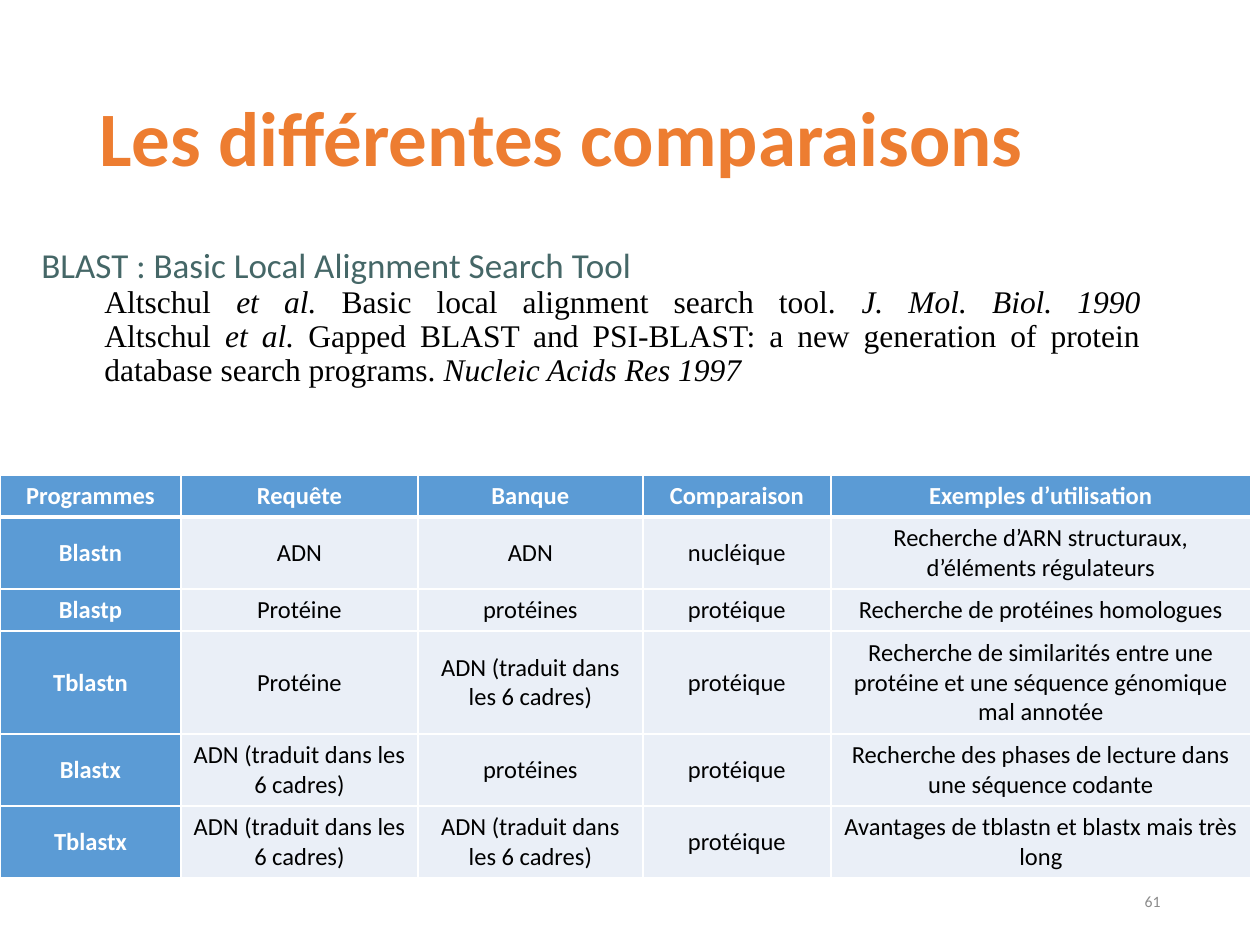
from lxml.etree import SubElement
from pptx import Presentation
from pptx.dml.color import RGBColor
from pptx.enum.text import MSO_ANCHOR, MSO_AUTO_SIZE, PP_ALIGN
from pptx.oxml.ns import qn
from pptx.util import Emu, Pt

EMU_PER_PX = 914400 / 126


def px(length):
    return Emu(round(length * EMU_PER_PX))


def style(font, size, color, name="Calibri", bold=False):
    font.size, font.name, font.bold = Pt(size), name, bold
    font.color.rgb = RGBColor.from_string(color)


deck = Presentation()
deck.slide_width, deck.slide_height = px(1260), px(945)
page = deck.slides.add_slide(deck.slide_layouts[6])

# Title and page number
for text, left, top, width, height, size, color, bold, align, spacing in (
    ("Les différentes comparaisons", 87, 50, 1086, 183, 44, "ED7D31", True, PP_ALIGN.LEFT, 0.9),
    ("61", 890, 876, 283, 50, 9, "8C8C8C", False, PP_ALIGN.RIGHT, 1.0),
):
    box = page.shapes.add_textbox(px(left), px(top), px(width), px(height))
    frame = box.text_frame
    frame.word_wrap = True
    frame.vertical_anchor = MSO_ANCHOR.MIDDLE
    para = frame.paragraphs[0]
    para.text = text
    para.alignment, para.line_spacing = align, spacing
    style(para.font, size, color, bold=bold)

# Comparison table
HEADER_FILL, BODY_FILL = "5B9BD5", "EAEFF7"
column_widths = (181, 237, 225, 188, 420)
row_heights = (42, 72, 42, 103, 72, 72)
TRANSLATED = "ADN (traduit dans les 6 cadres)"
rows = (
    ("Programmes", "Requête", "Banque", "Comparaison", "Exemples d’utilisation"),
    ("Blastn", "ADN", "ADN", "nucléique", "Recherche d’ARN structuraux, d’éléments régulateurs"),
    ("Blastp", "Protéine", "protéines", "protéique", "Recherche de protéines homologues"),
    ("Tblastn", "Protéine", TRANSLATED, "protéique",
     "Recherche de similarités entre une protéine et une séquence génomique mal annotée"),
    ("Blastx", TRANSLATED, "protéines", "protéique",
     "Recherche des phases de lecture dans une séquence codante"),
    ("Tblastx", TRANSLATED, TRANSLATED, "protéique",
     "Avantages de tblastn et blastx mais très long"),
)
table = page.shapes.add_table(
    len(rows), len(column_widths), px(0), px(475), px(sum(column_widths)), px(sum(row_heights))
).table
table.horz_banding = False
for column, width in zip(table.columns, column_widths):
    column.width = px(width)
for row, height in zip(table.rows, row_heights):
    row.height = px(height)

for r, texts in enumerate(rows):
    for c, text in enumerate(texts):
        cell = table.cell(r, c)
        is_header = r == 0 or c == 0
        # White borders, thicker under the header row
        properties = cell._tc.get_or_add_tcPr()
        for side in ("lnL", "lnR", "lnT", "lnB"):
            thick = (r, side) in ((0, "lnB"), (1, "lnT"))
            line = SubElement(properties, qn(f"a:{side}"), w=str(Pt(3 if thick else 1)))
            SubElement(SubElement(line, qn("a:solidFill")), qn("a:srgbClr"), val="FFFFFF")
        cell.fill.solid()
        cell.fill.fore_color.rgb = RGBColor.from_string(HEADER_FILL if is_header else BODY_FILL)
        cell.vertical_anchor = MSO_ANCHOR.MIDDLE
        para = cell.text_frame.paragraphs[0]
        para.text = text
        para.alignment = PP_ALIGN.CENTER
        style(para.font, 14, "FFFFFF" if is_header else "000000", bold=is_header)

# Definition and references
box = page.shapes.add_textbox(px(29), px(242), px(1124), px(154))
frame = box.text_frame
frame.word_wrap = True
frame.auto_size = MSO_AUTO_SIZE.SHAPE_TO_FIT_TEXT
definition, references = frame.paragraphs[0], frame.add_paragraph()
for para in (definition, references):
    para.alignment, para.line_spacing = PP_ALIGN.JUSTIFY, 0.9
definition.text = "BLAST : Basic Local Alignment Search Tool"
style(definition.font, 20, "456767")

references.level = 1
indent = references._p.get_or_add_pPr()
indent.set("marL", str(px(63)))
indent.set("indent", "0")
citations = (
    ("Basic local alignment search tool. ", "J. Mol. Biol. 1990"),
    ("Gapped BLAST and PSI-BLAST: a new generation of protein database search programs. ",
     "Nucleic Acids Res 1997"),
)
for number, (article, journal) in enumerate(citations):
    if number:
        references.add_line_break()
    for text, italic in (("Altschul ", False), ("et al. ", True), (article, False), (journal, True)):
        span = references.add_run()
        span.text = text
        span.font.italic = italic
style(references.font, 18, "000000", "Times New Roman")

deck.save("out.pptx")
